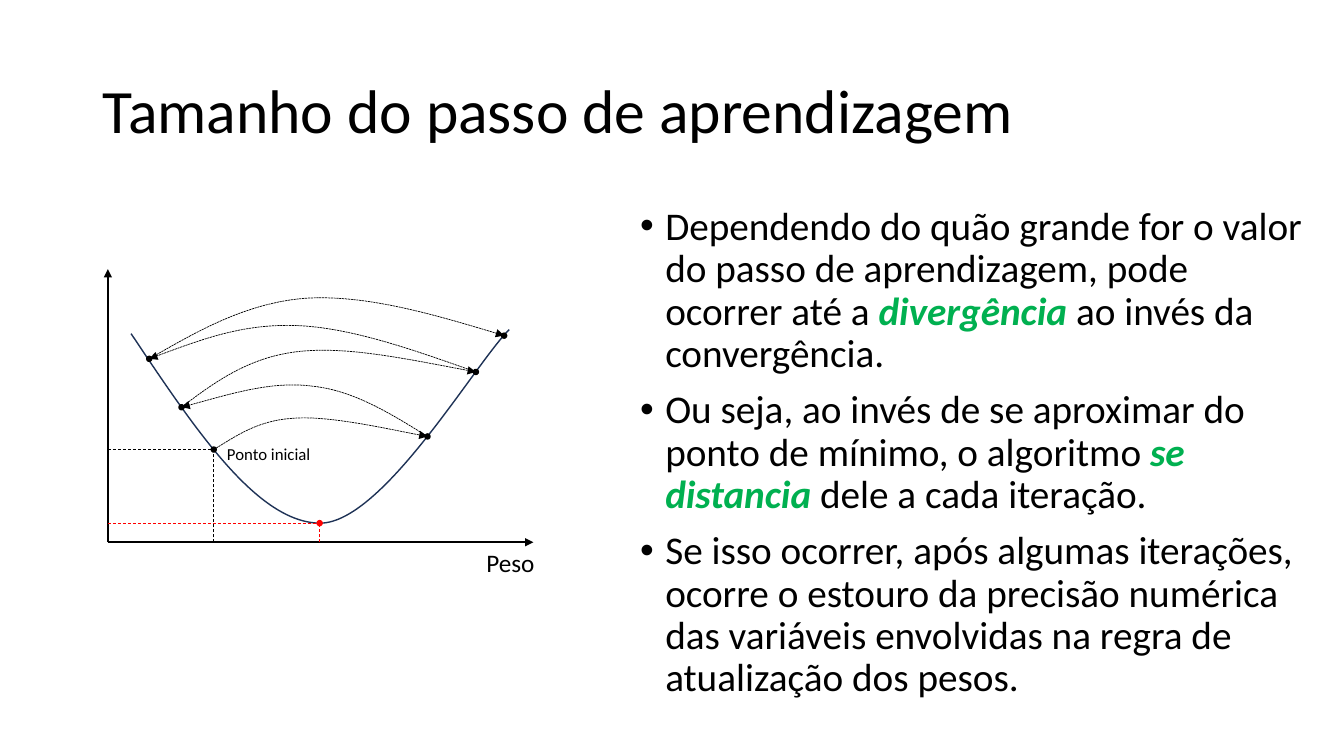
from dataclasses import dataclass
from itertools import pairwise

from lxml.etree import SubElement
from pptx import Presentation
from pptx.dml.color import RGBColor
from pptx.enum.dml import MSO_LINE
from pptx.enum.shapes import MSO_CONNECTOR, MSO_SHAPE
from pptx.enum.text import MSO_ANCHOR, MSO_AUTO_SIZE, PP_ALIGN
from pptx.oxml.ns import qn
from pptx.util import Inches, Pt


@dataclass(frozen=True)
class Theme:
    """Colours, font and sizes of the slide."""
    font: str = "Calibri"
    ink: RGBColor = RGBColor(0, 0, 0)
    emphasis: RGBColor = RGBColor(0x00, 0xB0, 0x50)
    curve: RGBColor = RGBColor(0x1E, 0x32, 0x56)
    minimum: RGBColor = RGBColor(0xFF, 0, 0)
    title: int = 44
    body: int = 28
    axis: int = 18
    note: int = 12


THEME = Theme()

ARGUMENTS = [
    ["Dependendo do quão grande for o valor do passo de aprendizagem, pode ocorrer até a ",
     "divergência", " ao invés da convergência."],
    ["Ou seja, ao invés de se aproximar do ponto de mínimo, o algoritmo ",
     "se distancia", " dele a cada iteração."],
    ["Se isso ocorrer, após algumas iterações, ocorre o estouro da precisão numérica "
     "das variáveis envolvidas na regra de atualização dos pesos."],
]

VALLEY = [(0.23, 2.07), (0.86, 1.13), (1.48, 0.19), (2.11, 0.19),
          (2.73, 0.2), (3.64, 1.77), (3.98, 2.11)]
MINIMUM = (2.1, 0.19)
VISITED = [(1.05, 0.92), (3.17, 1.05), (0.73, 1.34),
           (3.65, 1.69), (0.41, 1.82), (3.93, 2.05)]
JUMP_BENDS = [
    [(1.28, 1.06), (1.49, 1.21), (1.84, 1.23), (2.19, 1.26), (2.88, 1.1)],
    [(2.8, 1.28), (2.43, 1.51), (2.02, 1.55), (1.62, 1.6), (1.18, 1.46)],
    [(1.06, 1.59), (1.39, 1.83), (1.87, 1.89), (2.36, 1.95), (3, 1.81)],
    [(3.03, 1.91), (2.41, 2.13), (1.87, 2.15), (1.33, 2.17), (0.87, 1.99)],
    [(0.88, 2.09), (1.36, 2.37), (1.95, 2.42), (2.54, 2.46), (3.24, 2.26)],
]
DOT = 0.05


def add_run(paragraph, wording, size, color=THEME.ink, strong=False):
    """Append one formatted run."""
    run = paragraph.add_run()
    run.text = wording
    run.font.name, run.font.size = THEME.font, Pt(size)
    run.font.color.rgb = color
    run.font.bold = run.font.italic = strong


def add_label(slide, box, wording, size, align):
    """Place a one-line label in the box."""
    frame = slide.shapes.add_textbox(*map(Inches, box)).text_frame
    frame.word_wrap = True
    frame.paragraphs[0].alignment = align
    add_run(frame.paragraphs[0], wording, size)


def style_line(line, color, width, dash=None, arrow=False):
    """Set colour, width, dash and end arrow of a line."""
    line.color.rgb, line.width = color, Pt(width)
    if dash:
        line.dash_style = dash
    if arrow:
        SubElement(line._get_or_add_ln(), qn("a:tailEnd"), type="triangle")


def add_straight(slide, start, end, *style):
    """Connect two slide points with a straight line."""
    straight = slide.shapes.add_connector(
        MSO_CONNECTOR.STRAIGHT, *map(Inches, (*start, *end)))
    style_line(straight.line, *style)
    SubElement(straight._element.spPr, qn("a:effectLst"))


def add_curve(slide, points, *style):
    """Draw cubic curves through a start point and triples of points."""
    start, *bends = [(Inches(x), Inches(y)) for x, y in points]
    builder = slide.shapes.build_freeform(*start)
    builder.add_line_segments(bends, close=False)
    curve = builder.convert_to_shape()
    segments = list(curve._element.iter(qn("a:lnTo")))
    for first in range(0, len(segments), 3):
        cubic = SubElement(segments[first].getparent(), qn("a:cubicBezTo"))
        for segment in segments[first:first + 3]:
            cubic.append(segment[0])
            segment.getparent().remove(segment)
    curve.fill.background()
    curve.shadow.inherit = False
    style_line(curve.line, *style)


def add_dot(slide, center, color):
    """Mark a slide point with a small dot."""
    x, y = center
    dot = slide.shapes.add_shape(
        MSO_SHAPE.OVAL, *map(Inches, (x - DOT / 2, y - DOT / 2, DOT, DOT)))
    dot.shadow.inherit = False
    dot.fill.solid()
    dot.fill.fore_color.rgb = color
    style_line(dot.line, color, 1)


def build_title(slide, box):
    """Fill the title placeholder."""
    title = slide.shapes.title
    title.left, title.top, title.width, title.height = map(Inches, box)
    frame = title.text_frame
    frame.auto_size = MSO_AUTO_SIZE.NONE
    frame.vertical_anchor = MSO_ANCHOR.MIDDLE
    heading = frame.paragraphs[0]
    heading.alignment, heading.line_spacing = PP_ALIGN.LEFT, 0.9
    add_run(heading, "Tamanho do passo de aprendizagem", THEME.title)


def build_arguments(slide, box):
    """Write the bulleted arguments, stressing every second run."""
    frame = slide.shapes.add_textbox(*map(Inches, box)).text_frame
    frame.word_wrap = True
    for index, wordings in enumerate(ARGUMENTS):
        argument = frame.add_paragraph() if index else frame.paragraphs[0]
        argument.line_spacing = 0.9
        argument.space_before = Pt(10 if index else 0)
        properties = argument._p.get_or_add_pPr()
        properties.set("marL", str(Inches(0.25)))
        properties.set("indent", str(Inches(-0.25)))
        SubElement(properties, qn("a:buFont"), typeface="Arial")
        SubElement(properties, qn("a:buChar"), char="•")
        for position, wording in enumerate(wordings):
            strong = position % 2 == 1
            add_run(argument, wording, THEME.body,
                    THEME.emphasis if strong else THEME.ink, strong)


def build_plot(slide, box):
    """Draw the error curve and the diverging jumps, measured from the axes."""
    left, top, width, height = box
    base = top + height

    def place(point):
        """Turn axis distances into a slide point."""
        return left + point[0], base - point[1]

    add_curve(slide, [place(point) for point in VALLEY], THEME.curve, 1)
    for tip in [(width, 0), (0, height)]:
        add_straight(slide, place((0, 0)), place(tip), THEME.ink, 1.5, None, True)
    for target, color in [(MINIMUM, THEME.minimum), (VISITED[0], THEME.ink)]:
        for foot in [(0, target[1]), (target[0], 0)]:
            add_straight(slide, place(foot), place(target), color, 0.5, MSO_LINE.DASH)
    for point in VISITED:
        add_dot(slide, place(point), THEME.ink)
    add_dot(slide, place(MINIMUM), THEME.minimum)
    for (start, end), bends in zip(pairwise(VISITED), JUMP_BENDS):
        add_curve(slide, [place(point) for point in (start, *bends, end)],
                  THEME.ink, 0.5, MSO_LINE.SQUARE_DOT, True)
    add_label(slide, (left + width - 0.59, base, 0.7, 0.4),
              "Peso", THEME.axis, PP_ALIGN.RIGHT)
    start_x, start_y = place(VISITED[0])
    add_label(slide, (start_x - 0.04, start_y - 0.11, 1.17, 0.3),
              "Ponto inicial", THEME.note, PP_ALIGN.CENTER)


def main():
    """Build and save the slide."""
    deck = Presentation()
    deck.slide_width, deck.slide_height = Inches(13.33), Inches(7.5)
    slide = deck.slides.add_slide(deck.slide_layouts[5])
    build_title(slide, (0.92, 0.4, 11.5, 1.45))
    build_arguments(slide, (6.25, 2, 6.87, 5.5))
    build_plot(slide, (1.07, 2.67, 4.22, 2.71))
    deck.save("out.pptx")


if __name__ == "__main__":
    main()
